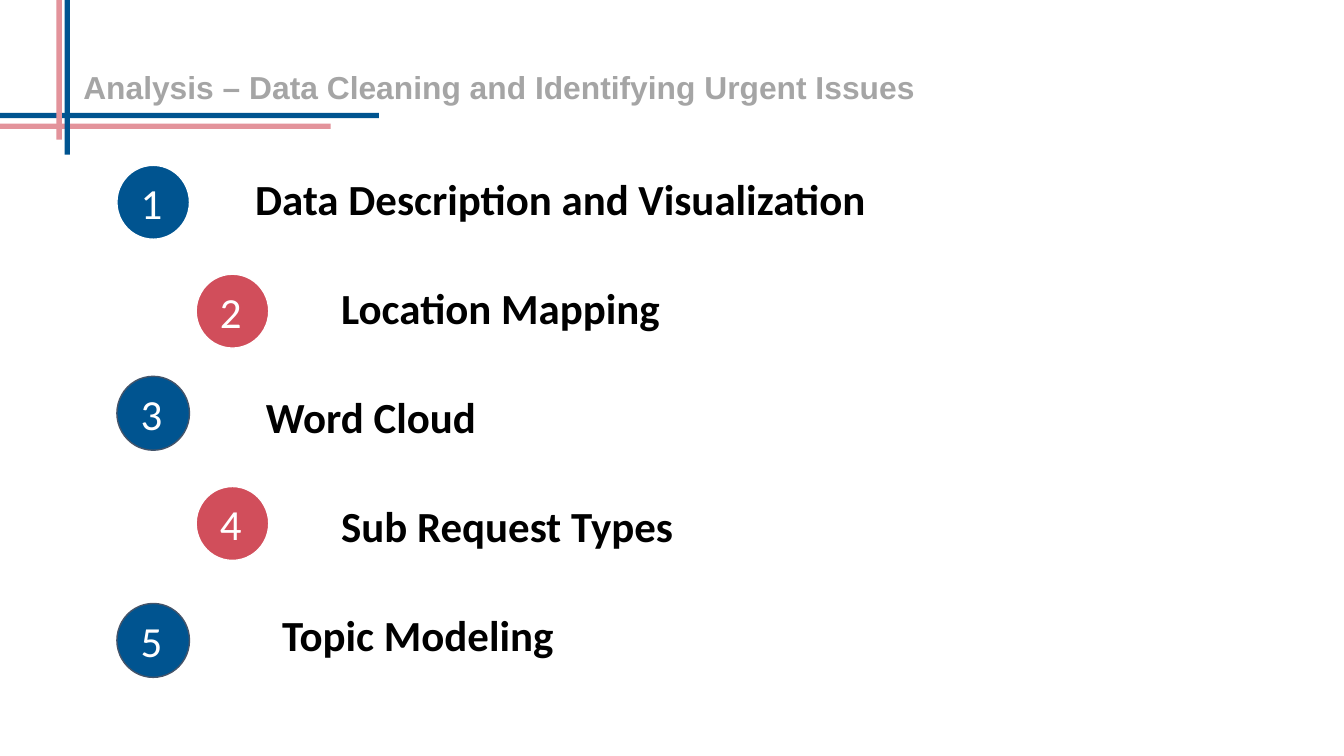
import dataclasses
import typing

import pptx
import pptx.dml.color
import pptx.enum.shapes
import pptx.enum.text
import pptx.util


@dataclasses.dataclass(frozen=True)
class Theme:
    blue: str = "005490"
    red: str = "D14E5B"
    pink: str = "E3939B"
    slate: str = "44546A"
    gray: str = "A5A5A5"
    white: str = "FFFFFF"
    black: str = "000000"
    body_font: str = "Calibri"
    title_font: str = "Arial"
    body_size: int = 23
    title_size: int = 17
    outline: float = 0.75


class Area(typing.NamedTuple):
    """Left, top, width and height in grid columns and rows."""
    left: float
    top: float
    width: float
    height: float


class Topic(typing.NamedTuple):
    text: str
    badge_top: float
    label_left: float
    label_width: float
    outline: str


class Bar(typing.NamedTuple):
    left: float
    top: float
    turn: int
    color: str


THEME = Theme()
# A 16:9 slide on a grid of 100 columns by 56.25 square rows
WIDTH = pptx.util.Inches(10)
HEIGHT = WIDTH * 9 // 16
COLUMN, ROW = WIDTH / 100, HEIGHT / 56.25
INSET = 1
LABEL_TOP, LABEL_STEP, LABEL_HEIGHT = 11.85, 8.1, 5.9
BADGE_WIDTH, BADGE_HEIGHT = 5.4, 5.5
BAR_LENGTH, BAR_THICKNESS = 38.4, 0.4

# Odd topics sit left in blue, even topics sit indented in red
BADGE_STYLES = ((8.7, THEME.blue), (14.6, THEME.red))
TOPICS = (
    Topic("Data Description and Visualization", 12.3, 18, 49.1, THEME.white),
    Topic("Location Mapping", 20.4, 24.4, 66.3, THEME.white),
    Topic("Word Cloud", 28, 18.8, 37.3, THEME.slate),
    Topic("Sub Request Types", 36.2, 24.4, 50.6, THEME.white),
    Topic("Topic Modeling", 44.9, 20, 49.1, THEME.slate),
)
# The bars run in from beyond the slide's top left corner
BARS = (
    Bar(-13.8, 9.2, 0, THEME.pink),
    Bar(-10.2, 8.4, 0, THEME.blue),
    Bar(-14.2, -7.9, 90, THEME.blue),
    Bar(-14.8, -9, 90, THEME.pink),
)


def rgb(color: str) -> pptx.dml.color.RGBColor:
    return pptx.dml.color.RGBColor.from_string(color)


def place(area: Area) -> tuple[int, ...]:
    units = (COLUMN, ROW, COLUMN, ROW)
    return tuple(round(share * unit) for share, unit in zip(area, units))


def write(shape, text: str, *, font: str = THEME.body_font,
          size: int = THEME.body_size, color: str = THEME.black,
          bold: bool = False, middle: bool = False,
          side: float = INSET, top: float = INSET) -> None:
    frame = shape.text_frame
    frame.word_wrap = True
    anchors = pptx.enum.text.MSO_ANCHOR
    frame.vertical_anchor = anchors.MIDDLE if middle else anchors.TOP
    frame.margin_left = frame.margin_right = round(side * COLUMN)
    frame.margin_top = frame.margin_bottom = round(top * ROW)
    para = frame.paragraphs[0]
    para.alignment = pptx.enum.text.PP_ALIGN.LEFT
    span = para.add_run()
    span.text = text
    span.font.name = font
    span.font.size = pptx.util.Pt(size)
    span.font.bold = bold
    span.font.color.rgb = rgb(color)


def add_filled(page, kind, area: Area, fill: str, outline: str | None = None):
    shape = page.shapes.add_shape(kind, *place(area))
    shape.shadow.inherit = False
    shape.fill.solid()
    shape.fill.fore_color.rgb = rgb(fill)
    if outline:
        shape.line.color.rgb = rgb(outline)
        shape.line.width = pptx.util.Pt(THEME.outline)
    else:
        shape.line.fill.background()
    return shape


def add_topic(page, index: int, topic: Topic) -> None:
    left, fill = BADGE_STYLES[index % 2]
    badge = add_filled(
        page, pptx.enum.shapes.MSO_SHAPE.FLOWCHART_CONNECTOR,
        Area(left, topic.badge_top, BADGE_WIDTH, BADGE_HEIGHT),
        fill, topic.outline)
    write(badge, str(index + 1), color=THEME.white, middle=True)
    label = page.shapes.add_textbox(*place(Area(
        topic.label_left, LABEL_TOP + index * LABEL_STEP,
        topic.label_width, LABEL_HEIGHT)))
    write(label, topic.text, bold=True)


def add_bar(page, bar: Bar) -> None:
    shape = add_filled(
        page, pptx.enum.shapes.MSO_SHAPE.RECTANGLE,
        Area(bar.left, bar.top, BAR_LENGTH, BAR_THICKNESS), bar.color)
    shape.rotation = bar.turn


def main() -> None:
    deck = pptx.Presentation()
    deck.slide_width, deck.slide_height = WIDTH, HEIGHT
    page = deck.slides.add_slide(deck.slide_layouts[6])

    # Numbered topics
    for index, topic in enumerate(TOPICS):
        add_topic(page, index, topic)

    # Heading
    box = page.shapes.add_textbox(*place(Area(6.2, 4.9, 66.3, 13.8)))
    write(box, "Analysis – Data Cleaning and Identifying Urgent Issues",
          font=THEME.title_font, size=THEME.title_size, color=THEME.gray,
          bold=True, side=0, top=0.12)

    # Crossing corner bars
    for bar in BARS:
        add_bar(page, bar)

    deck.save("out.pptx")


if __name__ == "__main__":
    main()
